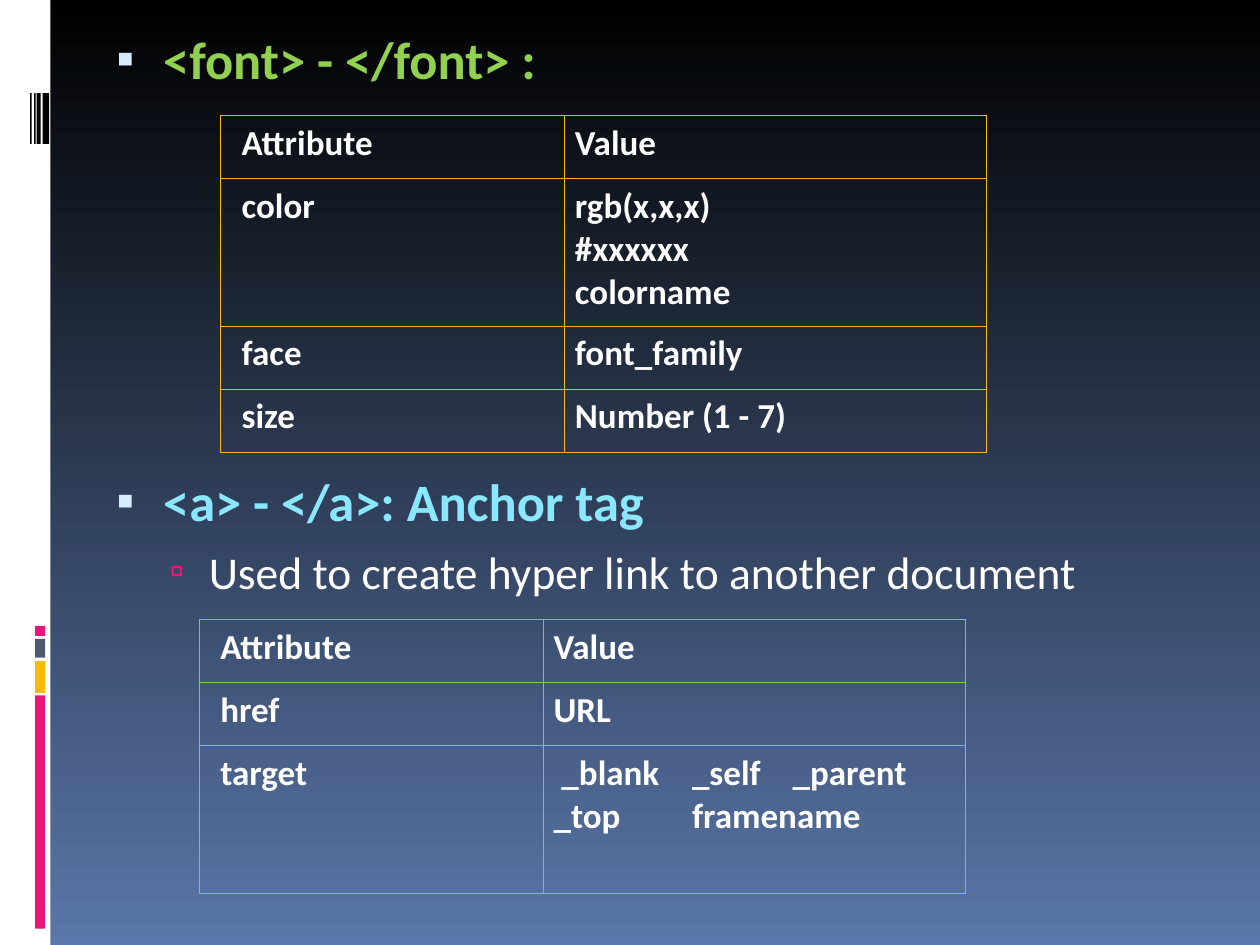
from lxml import etree
from pptx import Presentation
from pptx.dml.color import RGBColor
from pptx.enum.shapes import MSO_SHAPE
from pptx.oxml.ns import qn
from pptx.util import Cm, Pt

RECT = MSO_SHAPE.RECTANGLE
FONT = "Calibri"
COLORS = {
    "white": "FFFFFF", "black": "000000", "sky": "5A77A9", "pink": "EA157A",
    "amber": "FEB80A", "slate": "4E5B6F", "lime": "92D050", "cyan": "8BE6FF",
    "ice": "D6ECFF", "green": "7FD13B",
}

SIDE_PANEL = (0, 0, 1.02, 19.05, "white")
STRIPES = [(14.02, 4.7, "pink"), (13.33, 0.64, "amber"),
           (12.88, 0.38, "slate"), (12.62, 0.2, "pink")]
TICKS = [(0.86, 0.13), (0.74, 0.08), (0.69, 0.03), (0.61, 0.03)]

HEADING = {"size": 30, "bold": True, "indent": (1.14, -0.94), "bullet": ("▪", "ice", 95)}
DETAIL = {"size": 26, "bold": False, "indent": (2.06, -0.79), "bullet": ("▫", "pink", 90)}
LINES = [
    ("<font> - </font> :", HEADING, "lime", 0),
    ("<a> - </a>: Anchor tag", HEADING, "cyan", 216.5),
    ("Used to create hyper link to another document", DETAIL, "white", 6.5),
]

COL_WIDTHS = (6.93, 8.51)
ROW, TALL_ROW = 1.27, 2.97
VALUE_TABS = (2.79, 4.82)
TABLES = [
    {"at": (4.45, 2.33), "border": "amber", "heights": (ROW, TALL_ROW, ROW, ROW),
     "rows": [("Attribute", "Value"),
              ("color", "rgb(x,x,x)\v#xxxxxx\vcolorname"),
              ("face", "font_family"),
              ("size", "Number (1 - 7)")]},
    {"at": (4.02, 12.49), "border": "green", "heights": (ROW, ROW, TALL_ROW),
     "rows": [("Attribute", "Value"),
              ("href", "URL"),
              ("target", " _blank\t_self\t_parent\v_top\tframename")]},
]


def rgb(name):
    return RGBColor.from_string(COLORS[name])


def add_child(parent, tag, **attrs):
    return etree.SubElement(parent, qn(tag), {k: str(v) for k, v in attrs.items()})


def set_font(p, size, bold, color):
    p.font.name = FONT
    p.font.size = Pt(size)
    p.font.bold = bold
    p.font.color.rgb = rgb(color)


def add_bar(s, x, y, w, h, color):
    bar = s.shapes.add_shape(RECT, Cm(x), Cm(y), Cm(w), Cm(h))
    bar.shadow.inherit = False
    bar.fill.solid()
    bar.fill.fore_color.rgb = rgb(color)
    bar.line.fill.background()


def add_bullet(p, indent, bullet):
    char, color, percent = bullet
    pPr = p._p.get_or_add_pPr()
    pPr.set("marL", str(Cm(indent[0])))
    pPr.set("indent", str(Cm(indent[1])))
    add_child(add_child(pPr, "a:buClr"), "a:srgbClr", val=COLORS[color])
    add_child(pPr, "a:buSzPct", val=percent * 1000)
    add_child(pPr, "a:buFont", typeface=FONT)
    add_child(pPr, "a:buChar", char=char)


def add_text(s):
    tf = s.shapes.add_textbox(Cm(1.9), Cm(0.43), Cm(22.43), Cm(17.15)).text_frame
    tf.word_wrap = True
    for i, (text, style, color, before) in enumerate(LINES):
        p = tf.add_paragraph() if i else tf.paragraphs[0]
        p.text = text
        add_bullet(p, style["indent"], style["bullet"])
        p.space_before = Pt(before)
        set_font(p, style["size"], style["bold"], color)


def style_cell(cell, border):
    tcPr = cell._tc.get_or_add_tcPr()
    for side in ("a:lnL", "a:lnR", "a:lnT", "a:lnB"):
        ln = add_child(tcPr, side, w=Pt(0.45))
        add_child(add_child(ln, "a:solidFill"), "a:srgbClr", val=COLORS[border])
    cell.fill.background()


def add_table(s, spec):
    rows, heights = spec["rows"], spec["heights"]
    x, y = spec["at"]
    table = s.shapes.add_table(len(rows), len(COL_WIDTHS), Cm(x), Cm(y),
                               Cm(sum(COL_WIDTHS)), Cm(sum(heights))).table
    table.first_row = table.horz_banding = False
    for column, width in zip(table.columns, COL_WIDTHS):
        column.width = Cm(width)
    for r, (row, height) in enumerate(zip(rows, heights)):
        table.rows[r].height = Cm(height)
        for c, text in enumerate(row):
            cell = table.cell(r, c)
            style_cell(cell, spec["border"])
            cell.margin_left = Cm(0.21 if c else 0.42)
            cell.margin_right = Cm(0.21)
            cell.margin_top = cell.margin_bottom = Cm(0.13)
            p = cell.text_frame.paragraphs[0]
            p.text = text
            if "\t" in text:
                tabs = add_child(p._p.get_or_add_pPr(), "a:tabLst")
                for pos in VALUE_TABS:
                    add_child(tabs, "a:tab", pos=Cm(pos), algn="l")
            set_font(p, 20, True, "white")


def main():
    prs = Presentation()
    prs.slide_width, prs.slide_height = Cm(25.4), Cm(19.05)
    s = prs.slides.add_slide(prs.slide_layouts[6])
    fill = s.background.fill
    fill.gradient()
    fill.gradient_angle = 270
    for stop, color, position in zip(fill.gradient_stops, ("black", "sky"), (0, 1)):
        stop.color.rgb = rgb(color)
        stop.position = position
    add_bar(s, *SIDE_PANEL)
    for y, h, color in STRIPES:
        add_bar(s, 0.71, y, 0.2, h, color)
    for x, w in TICKS:
        add_bar(s, x, 1.88, w, 1.02, "black")
    add_text(s)
    for spec in TABLES:
        add_table(s, spec)
    prs.save("out.pptx")


if __name__ == "__main__":
    main()
